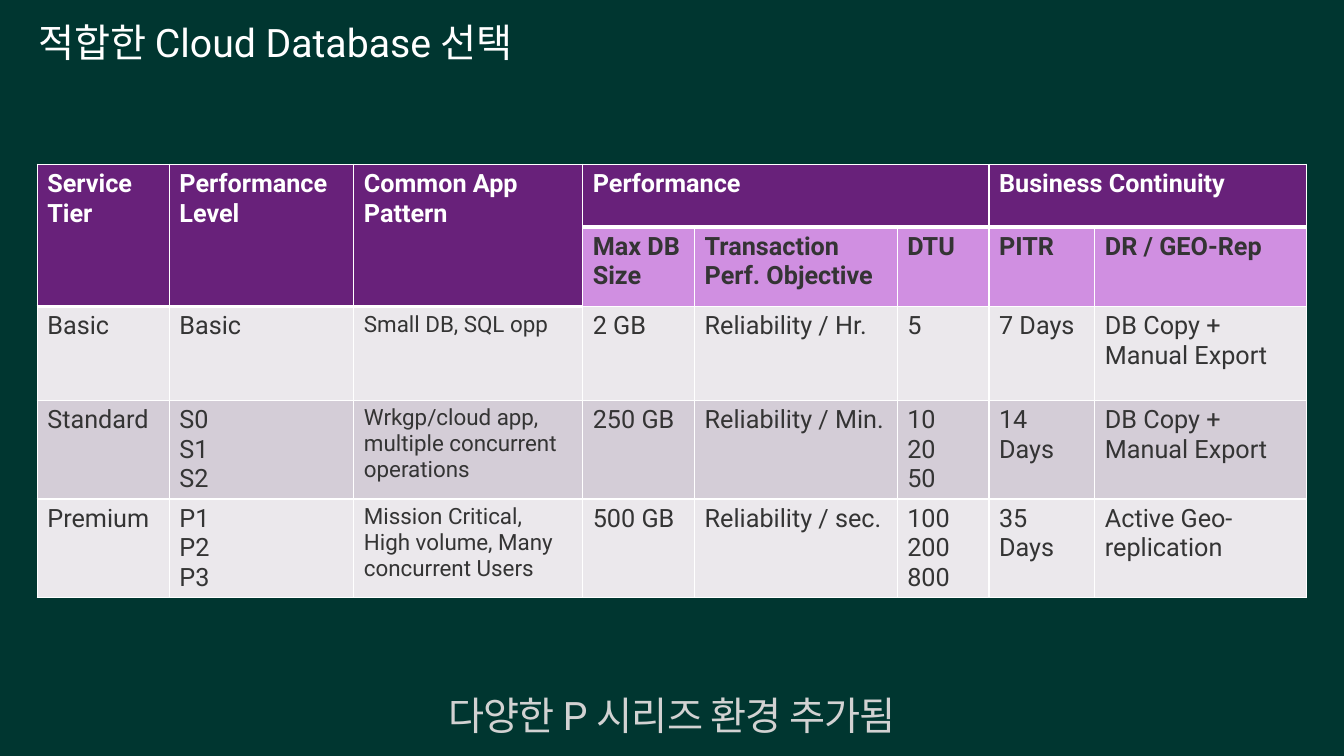
import pptx
import pptx.util
import pptx.dml.color
import pptx.enum.text
import pptx.oxml
import pptx.oxml.ns

Inches = pptx.util.Inches
Pt = pptx.util.Pt


def color(value):
    return pptx.dml.color.RGBColor.from_string(value)


def write(para, text, size, shade, bold=False):
    for i, line in enumerate(text.split("\n")):
        if i:
            para.add_line_break()
        run = para.add_run()
        run.text = line
        run.font.name = "Roboto"
        run.font.size = Pt(size)
        run.font.bold = bold
        run.font.color.rgb = color(shade)
    return run


deck = pptx.Presentation()
deck.slide_width = Inches(13.33)
deck.slide_height = Inches(7.5)
slide = deck.slides.add_slide(deck.slide_layouts[6])
slide.background.fill.solid()
slide.background.fill.fore_color.rgb = color("003630")

widths = [1.31, 1.83, 2.27, 1.11, 2.01, 0.91, 1.05, 2.1]
heights = [0.62, 0.79, 0.93, 0.91, 0.98]
rows = [
    ["Service Tier", "Performance Level", "Common App Pattern", "Performance",
     "", "", "Business Continuity", ""],
    ["", "", "", "Max DB Size", "Transaction Perf. Objective", "DTU", "PITR",
     "DR / GEO-Rep"],
    ["Basic", "Basic", "Small DB, SQL opp", "2 GB", "Reliability / Hr.", "5",
     "7 Days", "DB Copy + Manual Export"],
    ["Standard", "S0\nS1\nS2", "Wrkgp/cloud app, multiple concurrent operations",
     "250 GB", "Reliability / Min.", "10\n20\n50", "14 Days",
     "DB Copy + Manual Export"],
    ["Premium", "P1\nP2\nP3",
     "Mission Critical, High volume, Many concurrent Users", "500 GB",
     "Reliability / sec.", ["100", "200", "800"], "35 Days",
     "Active Geo-replication"],
]
fills = ["68217A", "D08FE1", "EBE8EC", "D4CDD7", "EBE8EC"]

frame = slide.shapes.add_table(len(rows), len(widths), Inches(0.37), Inches(1.63),
                               Inches(sum(widths)), Inches(sum(heights)))
table = frame.table
for col, width in zip(table.columns, widths):
    col.width = Inches(width)
for row, height in zip(table.rows, heights):
    row.height = Inches(height)
for top, left, end, right in [(0, 0, 1, 0), (0, 1, 1, 1), (0, 2, 1, 2),
                              (0, 3, 0, 5), (0, 6, 0, 7)]:
    table.cell(top, left).merge(table.cell(end, right))

for r, row in enumerate(rows):
    for c, text in enumerate(row):
        cell = table.cell(r, c)
        tall = r < 2 and c < 3
        props = cell._tc.get_or_add_tcPr()
        for side in "LRTB":
            thick = 3 if side == "B" and (r == 0 or tall) else 1
            props.append(pptx.oxml.parse_xml(
                f'<a:ln{side} {pptx.oxml.ns.nsdecls("a")} w="{Pt(thick)}">'
                '<a:solidFill><a:srgbClr val="FFFFFF"/></a:solidFill>'
                f'</a:ln{side}>'))
        cell.fill.solid()
        cell.fill.fore_color.rgb = color(fills[0] if tall else fills[r])
        if not text:
            continue
        size = 16 if r > 1 and c == 2 else 18
        shade = "343434" if r else "FFFFFF"
        parts = text if isinstance(text, list) else [text]
        for i, part in enumerate(parts):
            body = cell.text_frame
            para = body.add_paragraph() if i else body.paragraphs[0]
            write(para, part, size, shade, r < 2)

title = slide.shapes.add_textbox(0, 0, Inches(13.33), Inches(0.89)).text_frame
title.word_wrap = True
title.vertical_anchor = pptx.enum.text.MSO_ANCHOR.MIDDLE
para = title.paragraphs[0]
para.line_spacing = 0.9
para._p.get_or_add_pPr().set("marL", str(Inches(0.28)))
write(para, "적합한 Cloud Database 선택", 28, "FFFFFF")

note = slide.shapes.add_textbox(0, Inches(6.75), Inches(13.33), Inches(0.58)).text_frame
note.word_wrap = True
note.vertical_anchor = pptx.enum.text.MSO_ANCHOR.BOTTOM
note.margin_left = note.margin_right = note.margin_top = note.margin_bottom = 0
para = note.paragraphs[0]
para.alignment = pptx.enum.text.PP_ALIGN.CENTER
para.line_spacing = 0.9
run = write(para, "다양한 P 시리즈 환경 추가됨", 28, "D2D2D2")
run._r.get_or_add_rPr().set("spc", "-50")

deck.save("out.pptx")
